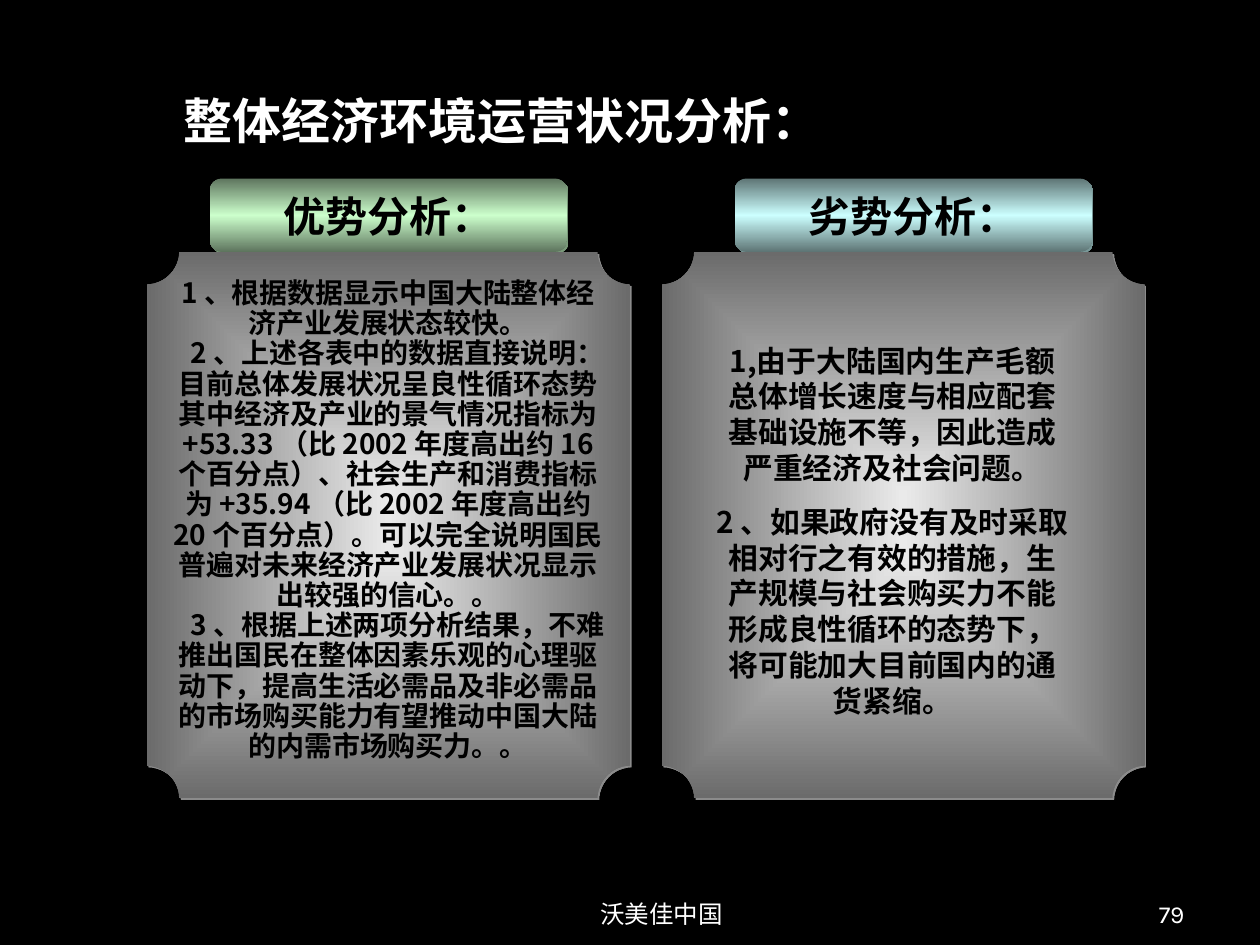
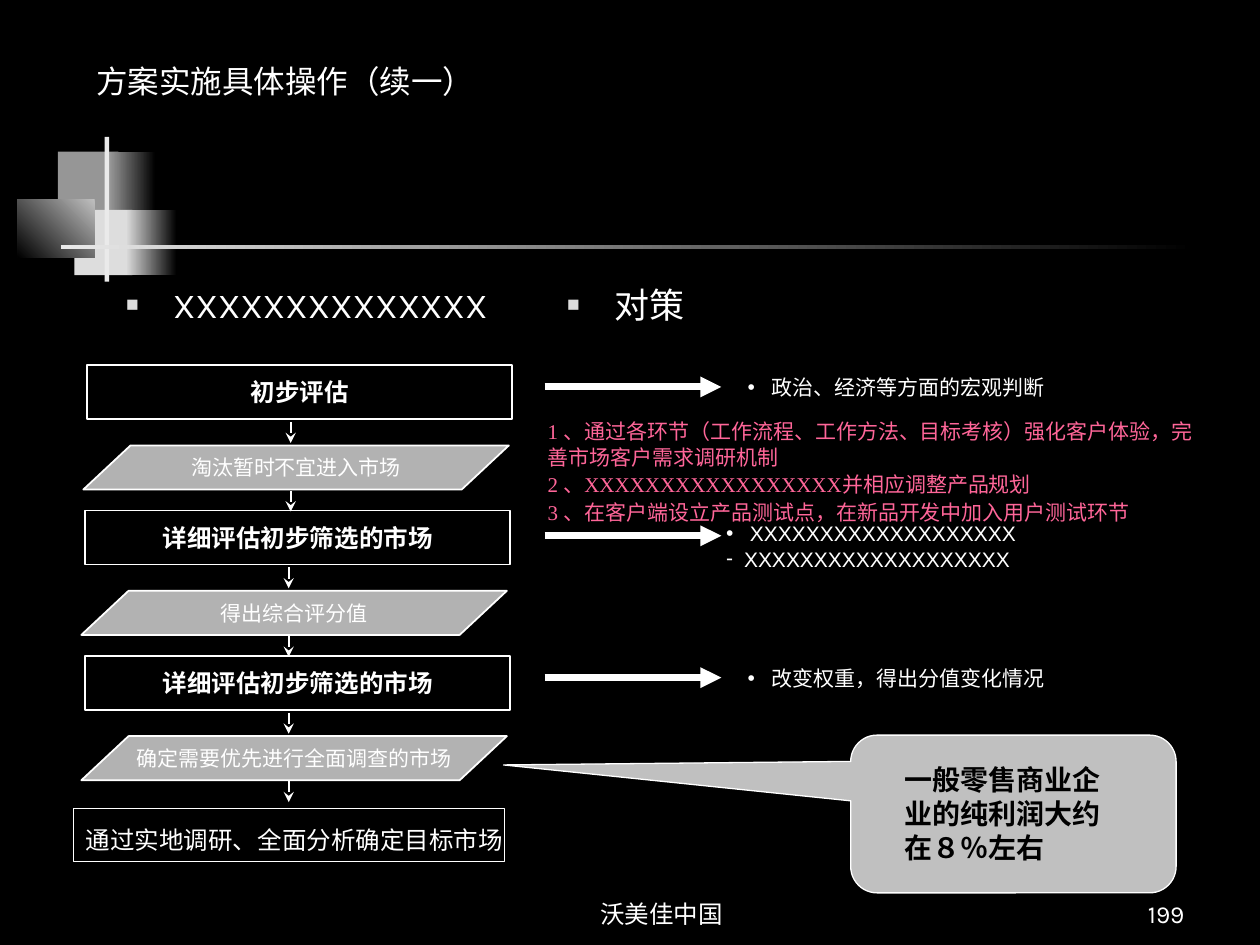
"""Build two slides: an economic outlook comparison and a market screening flow."""
from lxml import etree
from pptx import Presentation
from pptx.dml.color import RGBColor
from pptx.enum.shapes import MSO_CONNECTOR, MSO_SHAPE
from pptx.enum.text import MSO_ANCHOR, MSO_AUTO_SIZE, PP_ALIGN
from pptx.oxml import parse_xml
from pptx.oxml.ns import nsdecls, qn
from pptx.util import Cm, Pt

RECT, SKEW = MSO_SHAPE.RECTANGLE, MSO_SHAPE.PARALLELOGRAM
PLAQUE, TAB = MSO_SHAPE.PLAQUE, MSO_SHAPE.FLOWCHART_ALTERNATE_PROCESS
BUBBLE = MSO_SHAPE.ROUNDED_RECTANGULAR_CALLOUT
LINE = MSO_CONNECTOR.STRAIGHT
TOP, MID, LOW = MSO_ANCHOR.TOP, MSO_ANCHOR.MIDDLE, MSO_ANCHOR.BOTTOM
LEFT, MIDST, RIGHT = PP_ALIGN.LEFT, PP_ALIGN.CENTER, PP_ALIGN.RIGHT
FIXED = MSO_AUTO_SIZE.NONE

HUE = {
    "black": "000000", "white": "FFFFFF", "pink": "FF6699",
    "pale": "EAEAEA", "light": "DDDDDD", "silver": "C0C0C0",
    "grey": "B2B2B2", "mid": "969696", "edge": "8B8B8B", "dark": "6B6B6B",
    "green": "CCFFCC", "moss": "5E755E", "sage": "799879",
    "aqua": "CCFFFF", "teal": "5E7575", "mist": "799898",
}
NOTO, KARLA, ARIAL, TIMES = "Noto Sans CJK SC", "Karla", "Arial", "Times New Roman"

FOOT = "沃美佳中国"
FOOT_AT, PAGE_AT = (9.32, 17.57, 8.04, 1.27), (18.84, 17.57, 5.29, 1.27)

OUTLOOK = {"title": "整体经济环境运营状况分析：", "page": "79", "at": (3.45, 1.69, 13.34, 1.44)}
SIDES = [
    {"head": "优势分析：", "tone": ("moss", "green", "moss"), "shade": "sage",
     "at": (3.17, 5.5, 9.31, 10.01), "look": {"size": 16, "lead": 0.9},
     "body": [
         "1 、根据数据显示中国大陆整体经济产业发展状态较快。",
         ("2 、上述各表中的数据直接说明：目前总体发展状况呈良性循环态势其中经济及产业的景气情况"
          "指标为 +53.33 （比 2002 年度高出约 16 个百分点）、社会生产和消费指标为 +35.94 "
          "（比 2002 年度高出约 20 个百分点）。可以完全说明国民普遍对未来经济产业发展状况显示出较强的信心。。",
          {"dent": 0.38}),
         ("3 、根据上述两项分析结果，不难推出国民在整体因素乐观的心理驱动下，"
          "提高生活必需品及非必需品的市场购买能力有望推动中国大陆的内需市场购买力。。",
          {"dent": 0.38})]},
    {"head": "劣势分析：", "tone": ("teal", "aqua", "teal"), "shade": "mist",
     "at": (14.18, 6.77, 7.62, 7.86), "look": {"size": 17, "gap": 10.6},
     "body": [
         "1,由于大陆国内生产毛额总体增长速度与相应配套基础设施不等，因此造成严重经济及社会问题。",
         "2 、如果政府没有及时采取相对行之有效的措施，生产规模与社会购买力不能形成良性循环的态势下，"
         "将可能加大目前国内的通货紧缩。"]},
]

PLAN = {"title": "方案实施具体操作（续一）", "page": "199", "at": (1.69, 1.27, 8.26, 0.87)}
MOTIF = [
    ((1.17, 3.06, 1.22, 1.32), ("mid",), 0),
    ((2.22, 3.06, 0.91, 1.32), ("black", "mid"), 180),
    ((1.5, 4.23, 1.17, 1.32), ("light",), 0),
    ((2.54, 4.23, 1.02, 1.32), ("black", "light"), 180),
    ((0.35, 4.02, 1.56, 1.17), ("silver", "black"), 135),
    ((2.11, 2.76, 0.09, 2.92), ("pale",), 0),
    ((1.23, 4.94, 22.86, 0.09), ("black", "pale"), 180),
]
HEADS = [("XXXXXXXXXXXXXX", 2.54), ("对策", 11.43)]
STEPS = [
    ("初步评估", "淘汰暂时不宜进入市场"),
    ("详细评估初步筛选的市场", "得出综合评分值"),
    ("详细评估初步筛选的市场", "确定需要优先进行全面调查的市场"),
]
GOAL = "通过实地调研、全面分析确定目标市场"
DOT, DASH = {"mark": "•", "hang": 0.48}, {"mark": "-", "hang": 0.36}
NOTES = [
    (7.8, (14.82, 7.43, 7, 0.76), [("政治、经济等方面的宏观判断", DOT)]),
    (10.8, (14.39, 10.37, 7.5, 1.27),
     [("XXXXXXXXXXXXXXXXXXX", DOT), ("XXXXXXXXXXXXXXXXXXX", DASH)]),
    (13.66, (14.82, 13.28, 7, 0.76), [("改变权重，得出分值变化情况", DOT)]),
]
MOVES = [
    "1 、通过各环节（工作流程、工作方法、目标考核）强化客户体验，完善市场客户需求调研机制",
    "2 、XXXXXXXXXXXXXXXXX并相应调整产品规划",
    "3 、在客户端设立产品测试点，在新品开发中加入用户测试环节",
]
CLAIM = "一般零售商业企业的纯利润大约在８％左右"

BASE = {"size": 14, "bold": False, "font": KARLA, "hue": "white", "align": LEFT,
        "anchor": TOP, "wrap": True, "inset": (0.25, 0.13), "lead": 1, "gap": 0,
        "dent": 0, "hang": 0, "mark": None, "tint": "white", "scale": 100}


def rgb(name):
    return RGBColor.from_string(HUE[name])


def assign(thing, **values):
    for key, value in values.items():
        setattr(thing, key, value)


def place(item, at):
    assign(item, **dict(zip(("left", "top", "width", "height"), map(Cm, at))))


def bullet(para, look):
    props = para._p.get_or_add_pPr()
    props.set("marL", str(Cm(look["hang"])))
    props.set("indent", str(Cm(look["dent"] - look["hang"])))
    props.set("hangingPunct", "0")
    if not look["mark"]:
        etree.SubElement(props, qn("a:buNone"))
        return
    tint = etree.SubElement(props, qn("a:buClr"))
    etree.SubElement(tint, qn("a:srgbClr"), val=HUE[look["tint"]])
    etree.SubElement(props, qn("a:buSzPct"), val=str(look["scale"] * 1000))
    etree.SubElement(props, qn("a:buFont"), typeface=ARIAL)
    etree.SubElement(props, qn("a:buChar"), char=look["mark"])


def write(box, lines, **style):
    frame, look = box.text_frame, {**BASE, **style}
    side, edge = map(Cm, look["inset"])
    assign(frame, auto_size=FIXED, word_wrap=look["wrap"], vertical_anchor=look["anchor"],
           margin_left=side, margin_right=side, margin_top=edge, margin_bottom=edge)
    for rank, line in enumerate(lines):
        text, extra = (line, {}) if isinstance(line, str) else line
        own = {**look, **extra}
        para = frame.add_paragraph() if rank else frame.paragraphs[0]
        bullet(para, own)
        assign(para, alignment=own["align"], line_spacing=own["lead"],
               space_before=Pt(own["gap"] if rank else 0), space_after=Pt(0))
        run = para.add_run()
        run.text = text
        assign(run.font, size=Pt(own["size"]), bold=own["bold"], name=own["font"])
        run.font.color.rgb = rgb(own["hue"])


def label(slide, at, lines, **style):
    box = slide.shapes.add_textbox(*map(Cm, at))
    write(box, lines, **style)


def blend(shape, tones, angle=None):
    last = len(tones) - 1
    stops = "".join(f'<a:gs pos="{100000 * i // last}"><a:srgbClr val="{HUE[tone]}"/></a:gs>'
                    for i, tone in enumerate(tones))
    course = (f'<a:lin ang="{angle * 60000}" scaled="0"/>' if angle is not None else
              '<a:path path="rect"><a:fillToRect l="50000" t="50000" r="50000" b="50000"/></a:path>')
    fill = parse_xml(f'<a:gradFill {nsdecls("a")} rotWithShape="1">'
                     f'<a:gsLst>{stops}</a:gsLst>{course}</a:gradFill>')
    props = shape._element.spPr
    props.replace(props.find(qn("a:solidFill")), fill)


def draw(slide, kind, at, tones=(), angle=None, rim=0, shade=None, bends=()):
    shape = slide.shapes.add_shape(kind, *map(Cm, at))
    shape.shadow.inherit = False
    for i, bend in enumerate(bends):
        shape.adjustments[i] = bend
    if tones:
        shape.fill.solid()
        shape.fill.fore_color.rgb = rgb(tones[0])
    else:
        shape.fill.background()
    if len(tones) > 1:
        blend(shape, tones, angle)
    if rim:
        shape.line.color.rgb = rgb("white")
        shape.line.width = Pt(rim)
    else:
        shape.line.fill.background()
    if shade:
        glow = etree.SubElement(shape._element.spPr.find(qn("a:effectLst")), qn("a:outerShdw"),
                                dist=str(Pt(1.4)), dir="2700000", algn="ctr", rotWithShape="0")
        etree.SubElement(glow, qn("a:srgbClr"), val=HUE[shade])
    return shape


def arrow(slide, start, end, width, tip):
    line = slide.shapes.add_connector(LINE, *map(Cm, start + end))
    line.line.color.rgb = rgb("white")
    line.line.width = Pt(width)
    etree.SubElement(line.line._get_or_add_ln(), qn("a:tailEnd"), type=tip)
    etree.SubElement(line._element.spPr, qn("a:effectLst"))


def start(deck, info, **style):
    slide = deck.slides.add_slide(deck.slide_layouts[3])
    place(slide.shapes.title, info["at"])
    write(slide.shapes.title, [info["title"]], **style)
    label(slide, FOOT_AT, [FOOT], align=MIDST, anchor=LOW)
    label(slide, PAGE_AT, [info["page"]], align=RIGHT, anchor=LOW)
    return slide


def outlook(deck):
    bold = {"bold": True, "font": NOTO, "align": MIDST}
    slide = start(deck, OUTLOOK, size=28, wrap=False, **bold)
    for i, side in enumerate(SIDES):
        head = draw(slide, TAB, (4.23 + 10.58 * i, 3.6, 7.2, 1.48), side["tone"], 90,
                    shade=side["shade"])
        write(head, [side["head"]], size=24, hue="black", anchor=MID, wrap=False, **bold)
        draw(slide, PLAQUE, (2.96 + 10.38 * i, 5.08, 9.74, 11.01), ("pale", "dark"),
             shade="edge", bends=[0.067])
        body = slide.placeholders[i + 1]
        place(body, side["at"])
        write(body, side["body"], hue="black", **bold, **side["look"])
        slide.shapes._spTree.append(body._element)


def plan(deck):
    slide = start(deck, PLAN, size=18, anchor=LOW)
    for at, tones, angle in MOTIF:
        draw(slide, RECT, at, tones, angle)
    for i, (text, left) in enumerate(HEADS):
        head = slide.placeholders[i + 1]
        place(head, (left, 5.72, 7.98, 0.84))
        write(head, [text], size=20, inset=(0, 0), hang=0.95, mark="■", tint="light", scale=60)
    mid = {"font": ARIAL, "align": MIDST, "wrap": False}
    for i, (task, result) in enumerate(STEPS):
        drop, nudge = 2.93 * i, 0 if i else 0.04
        box = draw(slide, RECT, (1.72 + nudge, 7.36 + drop, 8.57, 1.09), rim=1)
        write(box, [task], bold=True, anchor=MID, **mid)
        slant = draw(slide, SKEW, (1.64 + nudge, 8.98 + drop, 8.58, 0.89), ("grey",),
                     rim=1, bends=[1.07])
        write(slant, [result], size=12, anchor=MID, **mid)
        for top in (8.51 + drop, 9.89 + drop):
            arrow(slide, (5.82 + nudge, top), (5.82 + nudge, top + 0.42), 1, "stealth")
    draw(slide, RECT, (1.48, 16.3, 8.69, 1.07), rim=0.75)
    label(slide, (1.47, 16.51, 8.94, 0.84), [GOAL], **mid)
    for level, at, lines in NOTES:
        arrow(slide, (10.98, level), (14.54, level), 4, "triangle")
        label(slide, at, lines, size=12, font=ARIAL)
    label(slide, (10.79, 8.32, 13.87, 2.39), MOVES, size=12, font=TIMES, hue="pink",
          anchor=MID, gap=1.5)
    draw(slide, BUBBLE, (17.15, 14.82, 6.56, 3.18), ("silver",), rim=0.75,
         bends=[-1.567, -0.311, 0.167])
    label(slide, (17.99, 15.25, 4.87, 2.29), [CLAIM], size=16, bold=True, font=TIMES, hue="black")


def main():
    deck = Presentation()
    assign(deck, slide_width=Cm(25.4), slide_height=Cm(19.05))
    ground = deck.slide_master.background.fill
    ground.solid()
    ground.fore_color.rgb = rgb("black")
    outlook(deck)
    plan(deck)
    deck.save("out.pptx")


if __name__ == "__main__":
    main()
